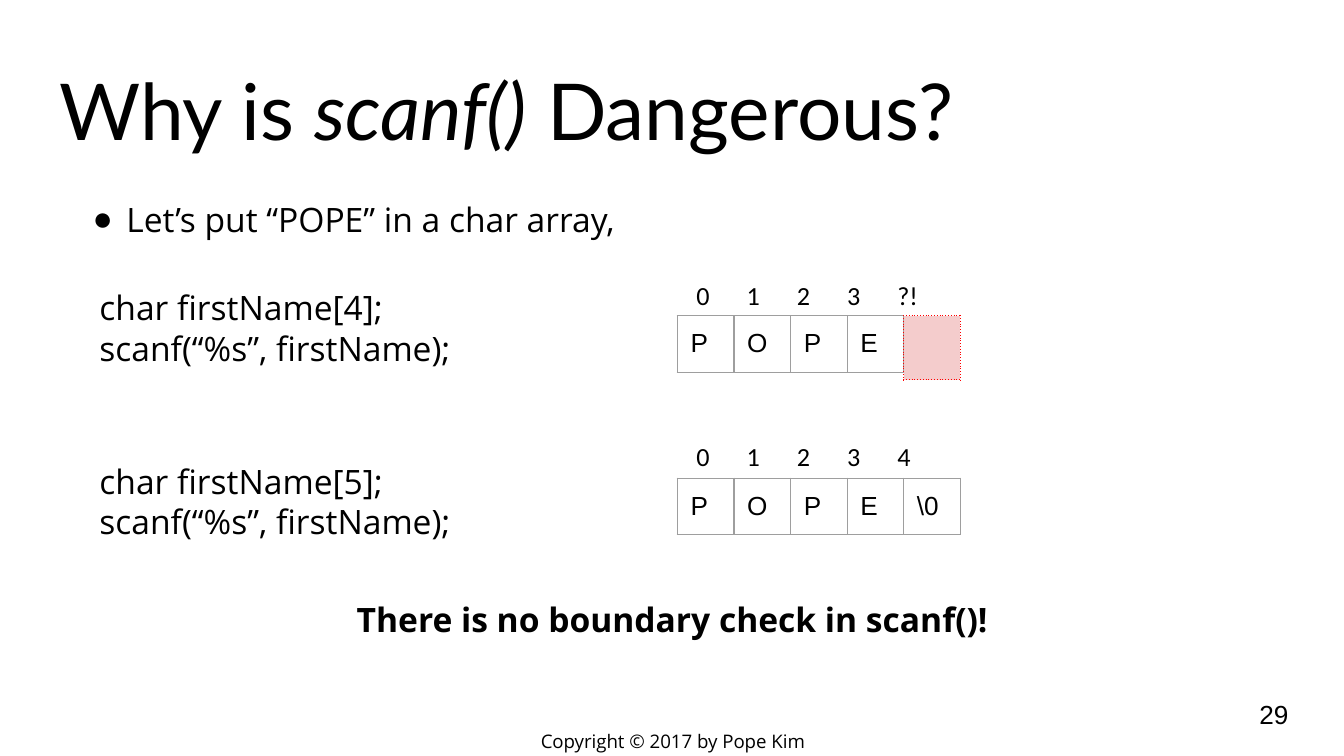
"""Build a slide on why scanf() is dangerous."""
from lxml import etree
from pptx import Presentation
from pptx.dml.color import RGBColor
from pptx.enum.text import MSO_ANCHOR, MSO_AUTO_SIZE, PP_ALIGN
from pptx.oxml.ns import qn
from pptx.util import Cm, Pt

LEFT, CENTER = PP_ALIGN.LEFT, PP_ALIGN.CENTER
TOP, MIDDLE, BOTTOM = MSO_ANCHOR.TOP, MSO_ANCHOR.MIDDLE, MSO_ANCHOR.BOTTOM
FIXED = MSO_AUTO_SIZE.NONE
BLACK = RGBColor(0, 0, 0)
GRAY = RGBColor(0x9E, 0x9E, 0x9E)
RED = RGBColor(0xFF, 0, 0)
PINK = RGBColor(0xF4, 0xCC, 0xCC)
SIDE = 1.07
GRID = 12.8


def style(frame, font, size, align=LEFT, anchor=TOP, bold=False):
    frame.word_wrap = True
    frame.auto_size = FIXED
    frame.vertical_anchor = anchor
    frame.margin_left = frame.margin_right = Cm(0.25)
    frame.margin_top = frame.margin_bottom = Cm(0.25)
    for para in frame.paragraphs:
        para.alignment = align
        for run in para.runs:
            run.font.name = font
            run.font.size = Pt(size)
            run.font.bold = bold
            run.font.color.rgb = BLACK


def add_grid(left, top, height, texts, edge, dash, fill=None):
    frame = slide.shapes.add_table(1, len(texts), Cm(left), Cm(top),
                                   Cm(SIDE * len(texts)), Cm(height))
    table = frame.table
    table.first_row = table.horz_banding = False
    for col, text in enumerate(texts):
        table.columns[col].width = Cm(SIDE)
        cell = table.cell(0, col)
        cell.text = text
        cell.margin_left = cell.margin_top = Cm(0.25)
        cell.margin_right = cell.margin_bottom = 0
        for run in cell.text_frame.paragraphs[0].runs:
            run.font.name = "Arial"
            run.font.size = Pt(14)
            run.font.color.rgb = BLACK
        props = cell._tc.get_or_add_tcPr()
        for tag in ("a:lnL", "a:lnR", "a:lnT", "a:lnB"):
            line = etree.SubElement(props, qn(tag), w=str(Pt(0.75)))
            solid = etree.SubElement(line, qn("a:solidFill"))
            etree.SubElement(solid, qn("a:srgbClr"), val=str(edge))
            etree.SubElement(line, qn("a:prstDash"), val=dash)
        if fill is None:
            cell.fill.background()
        else:
            cell.fill.solid()
            cell.fill.fore_color.rgb = fill


deck = Presentation()
deck.slide_width, deck.slide_height = Cm(25.4), Cm(14.29)
slide = deck.slides.add_slide(deck.slide_layouts[1])

title, body = slide.placeholders
title.left, title.top, title.width, title.height = Cm(0.87), Cm(0.89), Cm(23.67), Cm(2.31)
head = title.text_frame.paragraphs[0]
for text, slant in (("Why is ", False), ("scanf()", True), (" Dangerous?", False)):
    run = head.add_run()
    run.text = text
    run.font.italic = slant
style(title.text_frame, "Lato", 42, anchor=BOTTOM)

body.left, body.top, body.width, body.height = Cm(0.87), Cm(3.4), Cm(23.67), Cm(9.32)
body.text_frame.text = "Let’s put “POPE” in a char array,"
style(body.text_frame, "Open Sans", 18)
item = body.text_frame.paragraphs[0]
item.line_spacing = 1.15
item.space_before, item.space_after = Pt(0), Pt(16)
props = item._p.get_or_add_pPr()
props.set("marL", str(Cm(1.27)))
props.set("indent", str(Cm(-0.64)))
etree.SubElement(props, qn("a:buChar"), char="●")

add_grid(GRID, 5.97, SIDE, ["P", "O", "P", "E"], GRAY, "solid")
add_grid(GRID, 9.04, SIDE, ["P", "O", "P", "E", "\\0"], GRAY, "solid")
add_grid(GRID + 4 * SIDE, 5.97, 1.21, [""], RED, "sysDot", PINK)

for top, last in ((5.03, "?!"), (8.08, "4")):
    box = slide.shapes.add_textbox(Cm(GRID), Cm(top), Cm(5.31), Cm(1.3))
    box.text_frame.text = "\t".join(["0", "1", "2", "3", last])
    style(box.text_frame, "Calibri", 14)
    box.text_frame.margin_left = Cm(0.36)
    props = box.text_frame.paragraphs[0]._p.get_or_add_pPr()
    tabs = etree.SubElement(props, qn("a:tabLst"))
    for step in range(1, 5):
        etree.SubElement(tabs, qn("a:tab"), pos=str(Cm(0.95 * step)), algn="l")

CODE = "char firstName[{}];\nscanf(“%s”, firstName);"
for left, top, width, height, text, font, size, align, anchor, bold in (
    (1.63, 5.18, 8.89, 1.96, CODE.format(4), "Open Sans", 18, LEFT, TOP, False),
    (1.63, 8.46, 8.89, 1.96, CODE.format(5), "Open Sans", 18, LEFT, TOP, False),
    (5.89, 11.07, 13.64, 1.3, "There is no boundary check in scanf()!",
     "Open Sans", 18, CENTER, TOP, True),
    (9.58, 13.74, 6.27, 0.53, "Copyright © 2017 by Pope Kim",
     "Open Sans", 10, CENTER, MIDDLE, False),
    (23.55, 12.95, 1.52, 1.09, "29", "Arial", 14, LEFT, MIDDLE, False),
):
    box = slide.shapes.add_textbox(Cm(left), Cm(top), Cm(width), Cm(height))
    box.text_frame.text = text
    style(box.text_frame, font, size, align, anchor, bold)

deck.save("out.pptx")
